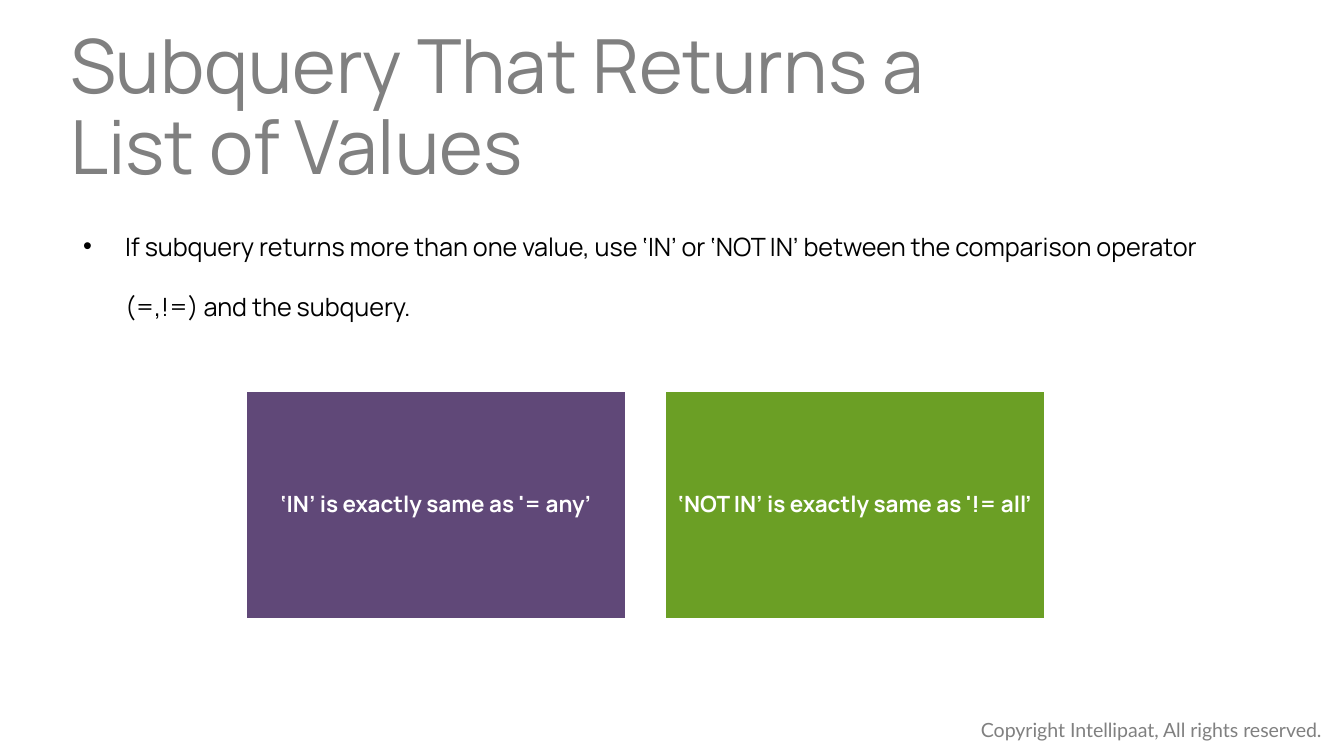
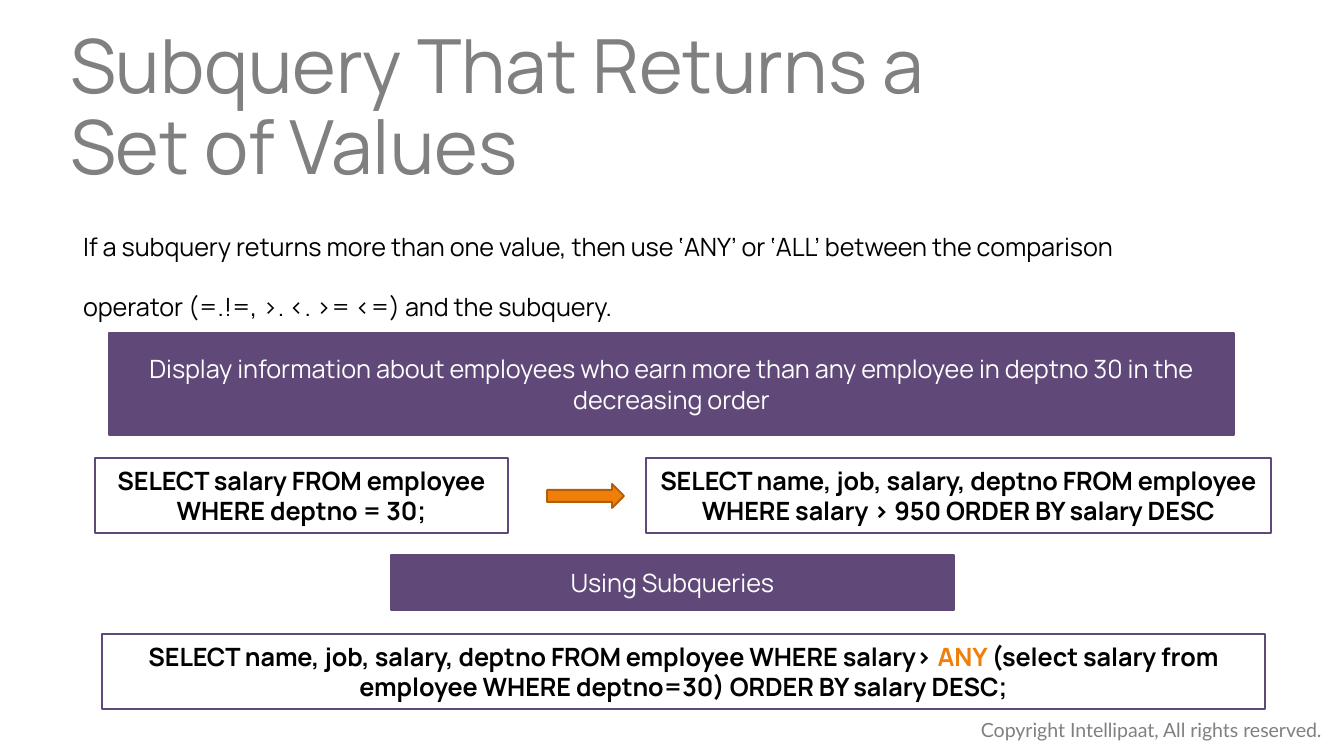
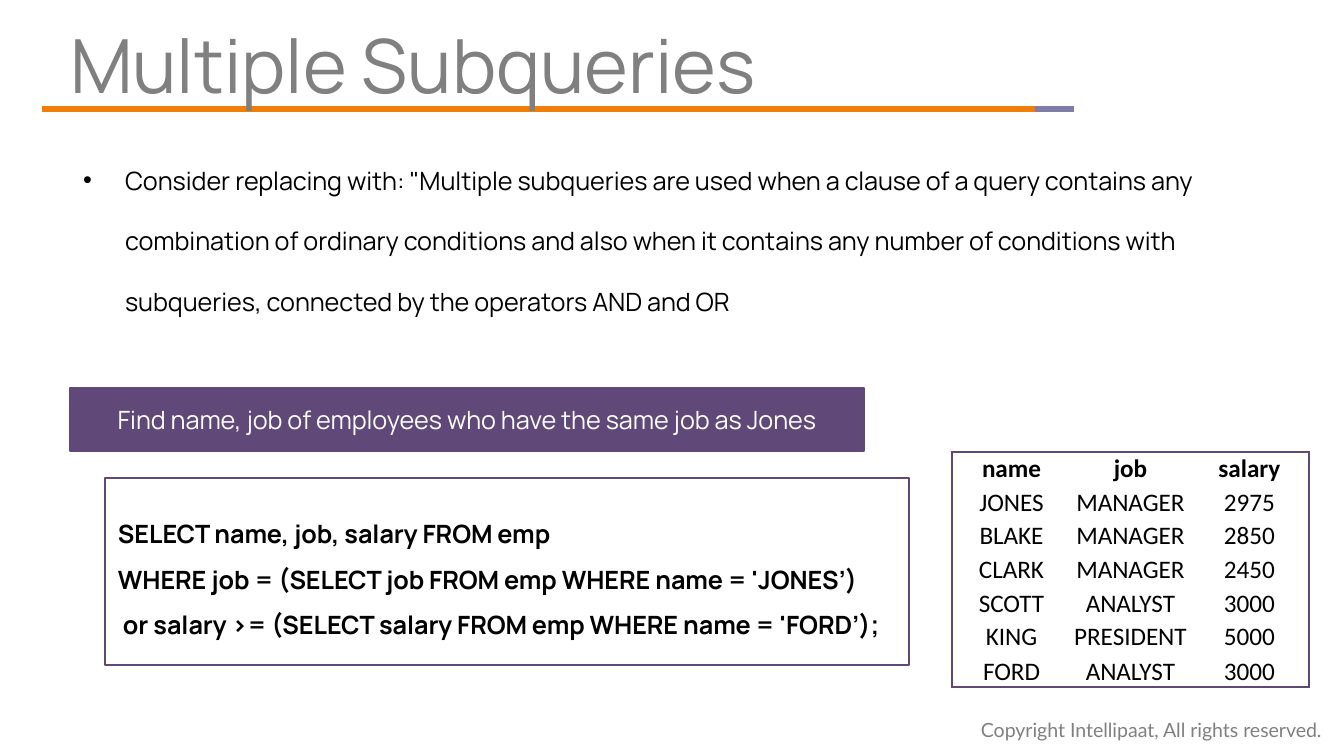
import pptx
import pptx.dml.color
import pptx.enum.shapes
import pptx.enum.text
import pptx.oxml
import pptx.oxml.ns
import pptx.util
from lxml import etree

RGBColor = pptx.dml.color.RGBColor
Align = pptx.enum.text.PP_ALIGN
Anchor = pptx.enum.text.MSO_ANCHOR
Preset = pptx.enum.shapes.MSO_SHAPE

WHITE = RGBColor(0xFF, 0xFF, 0xFF)
BLACK = RGBColor(0x00, 0x00, 0x00)
GRAY = RGBColor(0x80, 0x80, 0x80)
PURPLE = RGBColor(0x60, 0x48, 0x78)
LAVENDER = RGBColor(0x82, 0x7C, 0xA8)
GREEN = RGBColor(0x6B, 0x9F, 0x25)
ORANGE = RGBColor(0xF0, 0x7F, 0x09)
BROWN = RGBColor(0xB2, 0x5E, 0x07)

EMU_PER_PX = 914400 / 134.4
SLIDE_W, SLIDE_H = 1344, 756
FOOTER = "Copyright Intellipaat, All rights reserved."


def px(*lengths):
    """Turn pixel lengths into EMU."""
    return [pptx.util.Emu(round(length * EMU_PER_PX)) for length in lengths]


def add_xml(parent, tag, **attributes):
    return etree.SubElement(parent, pptx.oxml.ns.qn(tag), attributes)


def write(frame, text, *, size=13.5, font="Manrope", color=BLACK, bold=False,
          align=Align.LEFT, anchor=Anchor.TOP, spacing=1.0, indent=0,
          accent=None, margins=(13, 7, 13, 7)):
    """Fill a text frame, one paragraph a line; accent is the orange part."""
    frame.word_wrap = True
    frame.auto_size = pptx.enum.text.MSO_AUTO_SIZE.NONE
    frame.vertical_anchor = anchor
    (frame.margin_left, frame.margin_top,
     frame.margin_right, frame.margin_bottom) = px(*margins)
    for number, line in enumerate(text.split("\n")):
        paragraph = frame.add_paragraph() if number else frame.paragraphs[0]
        properties = paragraph._p.get_or_add_pPr()
        step = px(indent)[0]
        properties.set("marL", str(step))
        properties.set("indent", str(-step))
        if indent:
            add_xml(properties, "a:buFont", typeface="Arial")
            add_xml(properties, "a:buChar", char="•")
        else:
            add_xml(properties, "a:buNone")
        paragraph.alignment = align
        paragraph.line_spacing = spacing
        paragraph.space_before = pptx.util.Pt(0)
        for part in line.partition(accent) if accent else [line]:
            if part:
                run = paragraph.add_run()
                run.text = part
                run.font.name = font
                run.font.size = pptx.util.Pt(size)
                run.font.bold = bold
                run.font.color.rgb = ORANGE if part == accent else color


class Deck:
    """Shared style together with the slide being filled."""

    def __init__(self):
        self.presentation = pptx.Presentation()
        (self.presentation.slide_width,
         self.presentation.slide_height) = px(SLIDE_W, SLIDE_H)
        self.slide = None

    def start_slide(self, title, body, *, body_top=194, body_height=126, indent=42):
        layout = self.presentation.slide_layouts[1]
        self.slide = self.presentation.slides.add_slide(layout)
        heading, content = self.slide.placeholders
        self.place(heading, 70, 22, 954, 85)
        write(heading.text_frame, title, size=40, color=GRAY, spacing=0.9,
              margins=(0, 7, 13, 7))
        self.place(content, 70, body_top, 1142, body_height)
        write(content.text_frame, body, spacing=2.0, indent=indent)
        footer = self.slide.shapes.add_textbox(*px(968, 711, 376, 38))
        write(footer.text_frame, FOOTER, size=10.5, font="Lato", color=GRAY)

    def place(self, shape, left, top, width, height):
        shape.left, shape.top, shape.width, shape.height = px(left, top, width, height)

    def shape(self, box, *, fill=None, line=PURPLE, weight=1, preset=Preset.RECTANGLE):
        shape = self.slide.shapes.add_shape(preset, *px(*box))
        shape.shadow.inherit = False
        if fill is None:
            shape.fill.background()
        else:
            shape.fill.solid()
            shape.fill.fore_color.rgb = fill
        shape.line.color.rgb = line
        shape.line.width = pptx.util.Pt(weight)
        return shape

    def band(self, box, text, *, fill=PURPLE, line=PURPLE, **text_format):
        shape = self.shape(box, fill=fill, line=line)
        write(shape.text_frame, text, color=WHITE, align=Align.CENTER,
              anchor=Anchor.MIDDLE, **text_format)

    def code(self, box, text, *, weight=0.75, align=Align.CENTER, **text_format):
        shape = self.shape(box, weight=weight)
        write(shape.text_frame, text, bold=True, align=align, **text_format)

    def rule(self, start, end, y, color):
        """Draw a horizontal line behind the title."""
        rule = self.slide.shapes.add_connector(
            pptx.enum.shapes.MSO_CONNECTOR.STRAIGHT, *px(start, y, end, y))
        rule.line.color.rgb = color
        rule.line.width = pptx.util.Pt(3)
        add_xml(rule.element.spPr, "a:effectLst")
        self.slide.shapes.element.insert(2, rule.element)

    def table(self, box, rows):
        last_row, last_column = len(rows) - 1, len(rows[0]) - 1
        table = self.slide.shapes.add_table(len(rows), len(rows[0]), *px(*box)).table
        table.first_row = table.horz_banding = False
        for r, row in enumerate(rows):
            for c, value in enumerate(row):
                cell = table.cell(r, c)
                self.borders(cell, L=c == 0, R=c == last_column,
                             T=r == 0, B=r == last_row)
                cell.fill.background()
                write(cell.text_frame, value, font="Calibri", bold=r == 0,
                      align=Align.CENTER)
                (cell.margin_left, cell.margin_top,
                 cell.margin_right, cell.margin_bottom) = px(1, 1, 1, 0)
                cell.vertical_anchor = Anchor.BOTTOM if r == last_row else Anchor.MIDDLE

    def borders(self, cell, **sides):
        properties = cell._tc.get_or_add_tcPr()
        for side, drawn in sides.items():
            border = add_xml(properties, f"a:ln{side}", w="12700")
            if drawn:
                fill = add_xml(border, "a:solidFill")
                add_xml(fill, "a:srgbClr", val=str(PURPLE))
            else:
                add_xml(border, "a:noFill")


def list_of_values(deck):
    deck.start_slide(
        "Subquery That Returns a List of Values",
        "If subquery returns more than one value, use ‘IN’ or ‘NOT IN’ between "
        "the comparison operator (=,!=) and the subquery.")
    equivalents = [("‘IN’ is exactly same as '= any’", PURPLE),
                   ("‘NOT IN’ is exactly same as '!= all’", GREEN)]
    for column, (meaning, color) in enumerate(equivalents):
        deck.band((246 + 419 * column, 391, 380, 228), meaning, fill=color, line=WHITE,
                  size=12, bold=True, spacing=0.9, margins=(7, 7, 7, 7))


def set_of_values(deck):
    deck.start_slide(
        "Subquery That Returns a Set of Values",
        "If a subquery returns more than one value, then use ‘ANY’ or ‘ALL’ between "
        "the comparison operator (=.!=, >. <. >= <=) and the subquery.", indent=0)
    deck.band((109, 333, 1125, 102),
              "Display information about employees who earn more than any employee "
              "in deptno 30 in the decreasing order")

    # Two separate queries
    deck.code((95, 458, 413, 75), "SELECT salary FROM employee WHERE deptno = 30;")
    deck.shape((547, 484, 77, 24), fill=ORANGE, line=BROWN, preset=Preset.RIGHT_ARROW)
    deck.code((646, 458, 625, 75),
              "SELECT name, job, salary, deptno FROM employee\n"
              "WHERE salary > 950 ORDER BY salary DESC")

    # One query with a subquery
    deck.band((391, 555, 563, 55), "Using Subqueries")
    deck.code((102, 634, 1163, 75),
              "SELECT name, job, salary, deptno FROM employee WHERE salary> ANY "
              "(select salary from employee WHERE deptno=30) ORDER BY salary DESC;",
              accent="ANY ")


def multiple_subqueries(deck):
    deck.start_slide(
        "Multiple Subqueries",
        "Consider replacing with: \"Multiple subqueries are used when a clause of a "
        "query contains any combination of ordinary conditions and also when it "
        "contains any number of conditions with subqueries, connected by the "
        "operators AND and OR", body_top=128, body_height=187)
    deck.rule(42, 1035, 109, ORANGE)
    deck.rule(1035, 1074, 109, LAVENDER)

    # Task and query
    deck.code((105, 478, 804, 187),
              "SELECT name, job, salary FROM emp\n"
              "WHERE job = (SELECT job FROM emp WHERE name = 'JONES’)\n"
              " or salary >= (SELECT salary FROM emp WHERE name = 'FORD’);",
              weight=1, align=Align.LEFT, anchor=Anchor.MIDDLE, spacing=1.5)
    deck.band((70, 388, 794, 63),
              "Find name, job of employees who have the same job as Jones")

    # Employees
    deck.table((952, 452, 357, 235), [
        ("name", "job", "salary"),
        ("JONES", "MANAGER", "2975"),
        ("BLAKE", "MANAGER", "2850"),
        ("CLARK", "MANAGER", "2450"),
        ("SCOTT", "ANALYST", "3000"),
        ("KING", "PRESIDENT", "5000"),
        ("FORD", "ANALYST", "3000"),
    ])


def main():
    deck = Deck()
    list_of_values(deck)
    set_of_values(deck)
    multiple_subqueries(deck)
    deck.presentation.save("out.pptx")


if __name__ == "__main__":
    main()
